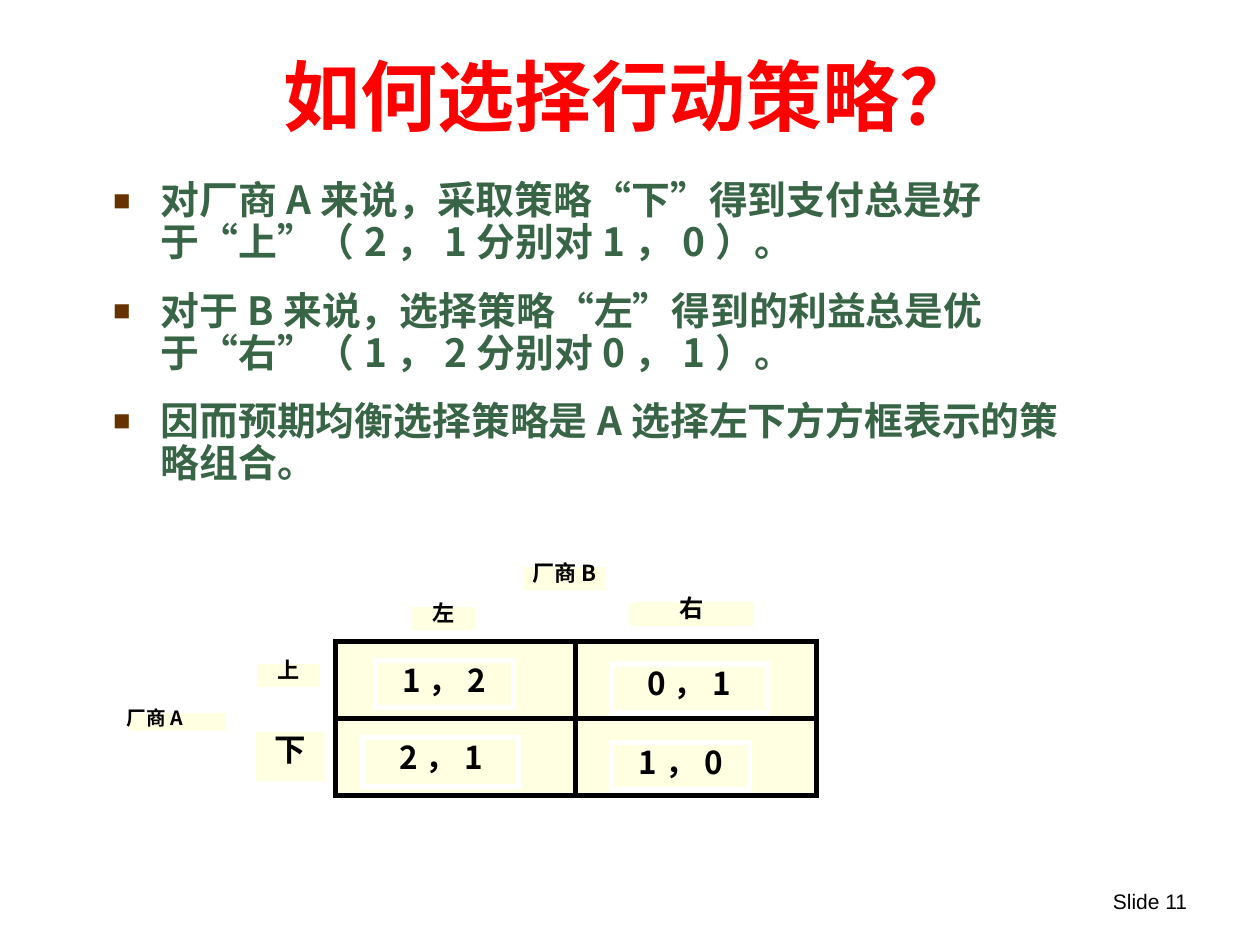
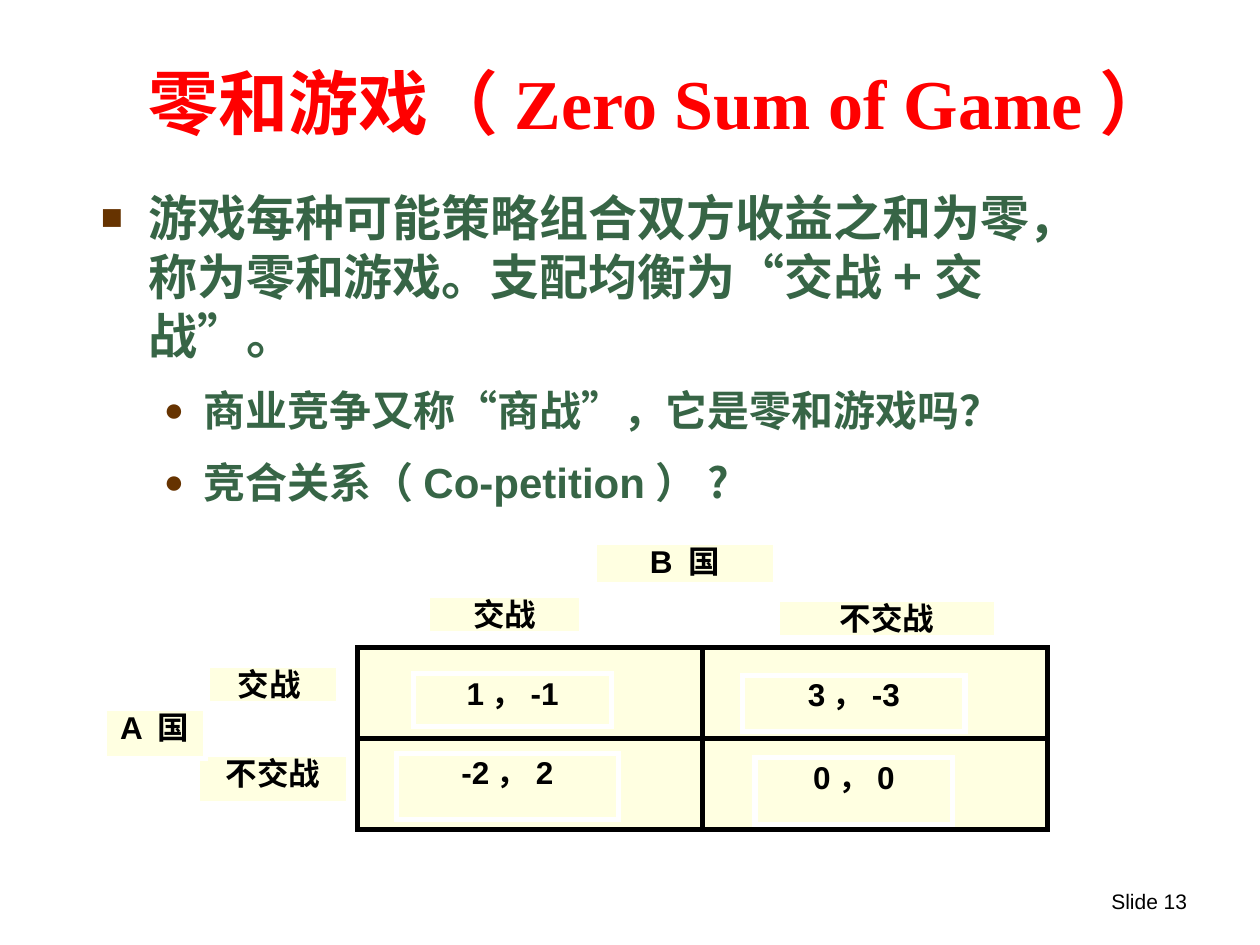
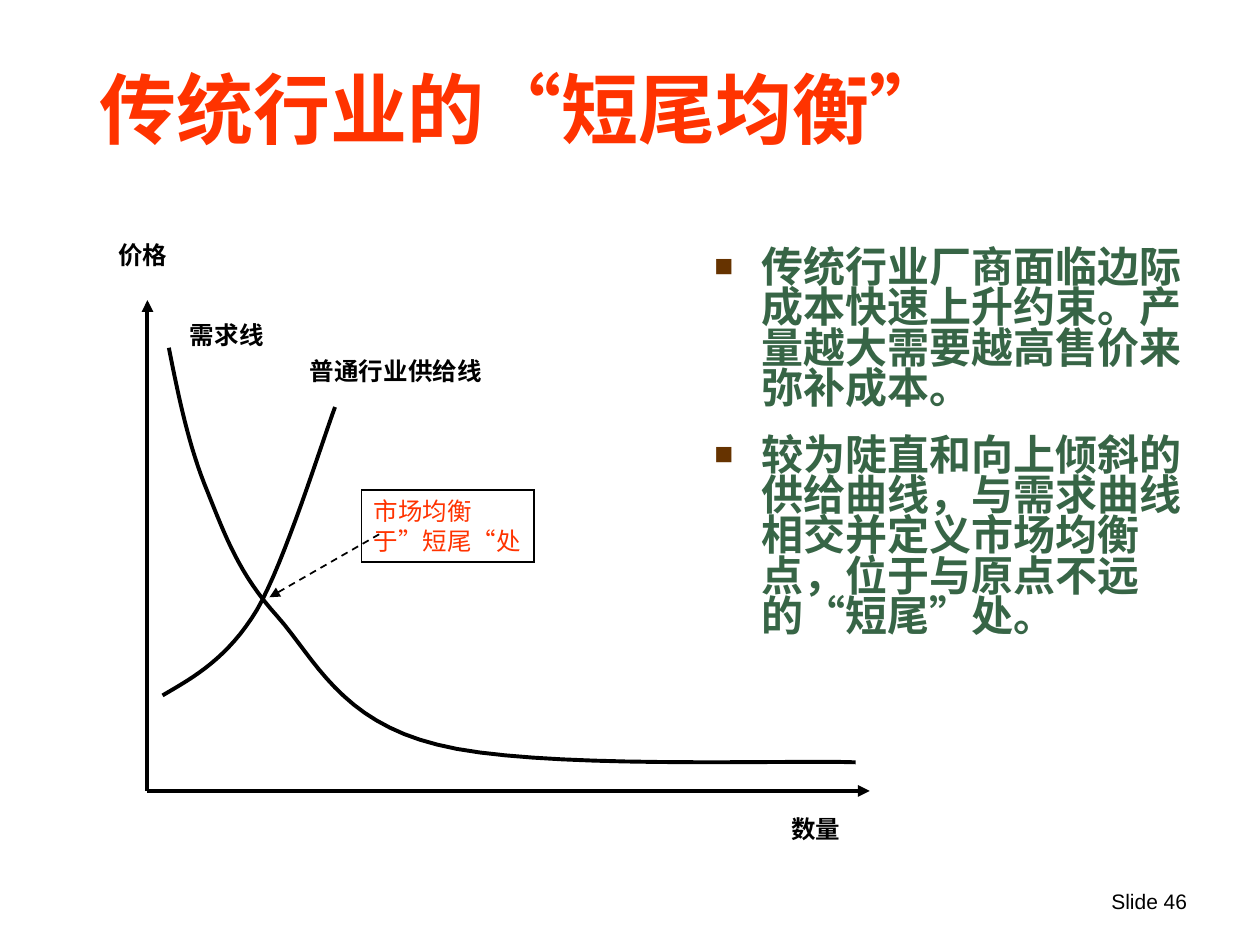
from itertools import pairwise

from lxml import etree
from pptx import Presentation
from pptx import util as u
from pptx.dml.color import RGBColor
from pptx.enum import dml, shapes, text
from pptx.oxml import ns

RED, ORANGE, GREEN, BROWN = "FF0000", "FF3300", "376546", "663300"
BLACK, WHITE, CREAM = "000000", "FFFFFF", "FFFFE1"
LATIN, CHINESE, SERIF = "Arial", "Noto Sans CJK SC", "Times New Roman"
ALIGN = text.PP_ALIGN
SQUARE = {"char": "■", "scale": 75, "left": 27, "hanging": 27}
DOT = {"char": "●", "scale": 80, "left": 58.5, "hanging": 22.5}


def color(value):
    return RGBColor.from_string(value)


def points(*lengths):
    return [u.Pt(length) for length in lengths]


def add_xml(parent, tag, **attributes):
    return etree.SubElement(parent, ns.qn(tag), attributes)


def write(paragraph, content, size=18, font=LATIN, accent=None, fill=BLACK,
          bold=True, align=None, spacing=None, before=None):
    paragraph.alignment = align
    paragraph.line_spacing = spacing
    if before is not None:
        paragraph.space_before = u.Pt(before)
    paragraph._p.get_or_add_pPr().set("hangingPunct", "0")
    for index, part in enumerate(content.split("|")):
        if not part:
            continue
        run = paragraph.add_run()
        run.text = part
        run.font.size = u.Pt(size)
        run.font.bold = bold
        run.font.color.rgb = color(fill)
        run.font.name = accent if index % 2 else font
        properties = run._r.get_or_add_rPr()
        properties.set("lang", "zh-CN")
        add_xml(properties, "a:ea", typeface=CHINESE)


def set_bullet(paragraph, char, scale, left, hanging):
    properties = paragraph._p.get_or_add_pPr()
    properties.set("marL", str(u.Pt(left)))
    properties.set("indent", str(-u.Pt(hanging)))
    add_xml(add_xml(properties, "a:buClr"), "a:srgbClr", val=BROWN)
    add_xml(properties, "a:buSzPct", val=str(scale * 1000))
    add_xml(properties, "a:buFont", typeface=LATIN)
    add_xml(properties, "a:buChar", char=char)


def place(shape, box):
    shape.left, shape.top, shape.width, shape.height = points(*box)


def add_title(slide, box, content, **style):
    title = slide.shapes.title
    place(title, box)
    frame = title.text_frame
    frame.auto_size = text.MSO_AUTO_SIZE.NONE
    frame.vertical_anchor = text.MSO_ANCHOR.BOTTOM
    write(frame.paragraphs[0], content, **style)


def add_body(slide, box, items, **style):
    body = slide.placeholders[1]
    place(body, box)
    frame = body.text_frame
    frame.auto_size = text.MSO_AUTO_SIZE.NONE
    for index, (level, content, changes) in enumerate(items):
        paragraph = frame.add_paragraph() if index else frame.paragraphs[0]
        paragraph.level = level
        write(paragraph, content, **{"fill": GREEN, **style, **changes})
        set_bullet(paragraph, **(DOT if level else SQUARE))


def add_footer(slide, number):
    footer = slide.shapes.add_textbox(*points(599, 504, 86.5, 36))
    footer.text_frame.word_wrap = True
    write(footer.text_frame.paragraphs[0], f"Slide {number}", size=12, bold=False,
          align=ALIGN.RIGHT)


def add_line(slide, start, end, width, arrow=False, dash=None):
    line = slide.shapes.add_connector(shapes.MSO_CONNECTOR.STRAIGHT, *points(*start, *end))
    line.line.color.rgb = color(BLACK)
    line.line.width = u.Pt(width)
    if dash:
        line.line.dash_style = dash
    if arrow:
        add_xml(line.line._get_or_add_ln(), "a:tailEnd", type="triangle")
    add_xml(line._element.spPr, "a:effectLst")
    return line


def add_rectangle(slide, box, fill, line, width):
    rectangle = slide.shapes.add_shape(shapes.MSO_SHAPE.RECTANGLE, *points(*box))
    rectangle.shadow.inherit = False
    if fill:
        rectangle.fill.solid()
        rectangle.fill.fore_color.rgb = color(fill)
    else:
        rectangle.fill.background()
    rectangle.line.color.rgb = color(line)
    rectangle.line.width = u.Pt(width)
    add_xml(rectangle.line._get_or_add_ln(), "a:miter", lim="800000")
    rectangle.text_frame.vertical_anchor = text.MSO_ANCHOR.TOP
    return rectangle


def add_payoff_matrix(slide, box, entries, **style):
    left, top, width, height = box
    middle_x, middle_y = left + width / 2, top + height / 2
    frame = add_rectangle(slide, box, CREAM, BLACK, 3)
    dividers = (
        ((left, middle_y), (left + width, middle_y), 1, 3),
        ((middle_x, top), (middle_x, top + height), 0, 2),
    )
    for start, end, first_side, last_side in dividers:
        divider = add_line(slide, start, end, 3)
        divider.begin_connect(frame, first_side)
        divider.end_connect(frame, last_side)
    for content, (x, y, entry_width, entry_height), changes in entries:
        entry = add_rectangle(slide, (left + x, top + y, entry_width, entry_height),
                              CREAM, WHITE, 3)
        inner = entry.text_frame
        inner.margin_left = inner.margin_right = inner.margin_top = inner.margin_bottom = 0
        write(inner.paragraphs[0], content, **{"align": ALIGN.CENTER, **style, **changes})


def bezier_points(controls, steps=16):
    result = [controls[0]]
    for first in range(0, len(controls) - 1, 3):
        p0, p1, p2, p3 = controls[first:first + 4]
        for step in range(1, steps + 1):
            t = step / steps
            s = 1 - t
            result.append(tuple(
                s ** 3 * a + 3 * s * s * t * b + 3 * s * t * t * c + t ** 3 * d
                for a, b, c, d in zip(p0, p1, p2, p3)))
    return result


def add_curve(slide, controls):
    start, *rest = [points(*point) for point in bezier_points(controls)]
    builder = slide.shapes.build_freeform(*start)
    builder.add_line_segments(rest, close=False)
    curve = builder.convert_to_shape()
    curve.shadow.inherit = False
    curve.fill.background()
    curve.line.color.rgb = color(BLACK)
    curve.line.width = u.Pt(2.25)


def fit_lines(shape, lines, **style):
    frame = shape.text_frame
    frame.word_wrap = False
    frame.auto_size = text.MSO_AUTO_SIZE.SHAPE_TO_FIT_TEXT
    for index, content in enumerate(lines):
        paragraph = frame.add_paragraph() if index else frame.paragraphs[0]
        write(paragraph, content, size=14, align=ALIGN.LEFT, **style)


def add_supply_demand_diagram(slide, left, top):
    def at(x, y):
        return left + x, top + y

    corners = [at(437, 322), at(24.25, 322), at(24.25, 41.5)]
    for (first, second), outward in zip(pairwise(corners), (False, True)):
        start, end = (first, second) if outward else (second, first)
        add_line(slide, start, end, 2.25, arrow=True)

    demand = [(36.5, 68.7), (42.2, 97.5), (48, 125.6), (58.8, 151.5), (68.9, 176.7),
              (76.8, 198.3), (98.4, 222.1), (120, 246.6), (134.4, 281.8), (189.8, 295.5),
              (244.6, 309.9), (389.3, 304.2), (428.9, 305.6)]
    supply = [(32.9, 267.4), (51.6, 256.6), (70.3, 245.8), (86.9, 218.5),
              (102.7, 191.1), (124.3, 122), (131.5, 102.6)]
    for controls in (demand, supply):
        add_curve(slide, [at(*point) for point in controls])

    labels = (("价格", 0.5, 3.5), ("数量", 385, 331.5),
              ("需求线", 41.5, 49.5), ("普通行业供给线", 110, 70))
    for content, x, y in labels:
        label = slide.shapes.add_textbox(*points(*at(x, y), 14 * len(content) + 16, 24.5))
        fit_lines(label, [content])

    callout = add_rectangle(slide, (*at(146.5, 150), 98.5, 41), None, BLACK, 1)
    fit_lines(callout, ["市场均衡", "于”短尾“处"], fill=ORANGE, bold=False)
    add_line(slide, at(156.7, 175.3), at(94, 211.3), 1, arrow=True,
             dash=dml.MSO_LINE.DASH)


def new_slide(presentation, number):
    slide = presentation.slides.add_slide(presentation.slide_layouts[1])
    add_footer(slide, number)
    return slide


def build_strategy_slide(presentation):
    slide = new_slide(presentation, 11)
    add_title(slide, (54, 24, 612, 60), "如何选择行动策略？", size=44, fill=RED,
              align=ALIGN.CENTER)
    add_body(slide, (57.5, 100, 571, 205), [
        (0, "对厂商A来说，采取策略|“|下|”|得到支付总是好于|“|上|”|（2，1分别对1，0）。", {}),
        (0, "对于B来说，选择策略|“|左|”|得到的利益总是优于|“|右|”|（1，2分别对0，1）。", {}),
        (0, "因而预期均衡选择策略是A选择左下方方框表示的策略组合。", {}),
    ], size=22.2, font=CHINESE, accent=SERIF, spacing=0.9, before=15)
    small = {"size": 12.6, "spacing": 0.8}
    add_payoff_matrix(slide, (191.5, 366.5, 275, 88), [
        ("1，2", (23, 11, 79, 27), {}),
        ("0，1", (158, 13, 89, 28), {}),
        ("2，1", (16, 55, 89, 28), {}),
        ("1，0", (158, 58, 79, 27), {}),
        ("左", (42, -21, 40, 16), small),
        ("右", (167, -24, 74, 17), {"size": 13.9, "spacing": 0.8}),
        ("上", (-46, 11.5, 39, 16), small),
        ("下", (-47, 50.5, 43, 31), {}),
        ("厂商B", (106, -44, 50, 16), small),
        ("厂商A", (-119, 39.5, 58, 13),
         {"size": 11.2, "spacing": 0.8, "align": ALIGN.JUSTIFY}),
    ], font=CHINESE)


def build_zero_sum_slide(presentation):
    slide = new_slide(presentation, 13)
    add_title(slide, (54, 27.5, 645, 58), "零和游戏|（Zero Sum of Game）", size=40,
              accent=SERIF, fill=RED, align=ALIGN.CENTER)
    sub = {"size": 24, "before": 12}
    add_body(slide, (50.5, 103.5, 597.5, 199.5), [
        (0, "游戏每种可能策略组合双方收益之和为零，称为零和游戏。支配均衡为|“|交战+交战|”|。", {}),
        (1, "商业竞争又称|“|商战|”|，它是零和游戏吗？", sub),
        (1, "竞合关系（|Co-petition|）?", sub),
    ], size=28, font=CHINESE, accent=LATIN, spacing=1.0, before=17.5)
    add_payoff_matrix(slide, (204.5, 370, 394, 104), [
        ("1，-1", (32, 15, 113, 30), {}),
        ("3，-3", (220, 16, 127, 32), {}),
        ("-2，2", (22, 60.5, 127, 38), {}),
        ("0，0", (227, 63, 113, 38), {}),
        ("交战", (40, -30, 88, 22), {}),
        ("不交战", (240, -27.5, 125, 22), {}),
        ("交战 ", (-86, 10, 75, 22), {}),
        ("不交战", (-92, 61, 87, 28), {}),
        ("B 国", (135, -60, 104, 24), {}),
        ("A 国", (-145, 34.5, 58, 29), {}),
    ])


def build_short_tail_slide(presentation):
    slide = new_slide(presentation, 46)
    add_title(slide, (49.5, 15, 624, 76.5), "传统行业的“短尾均衡”", size=44, fill=ORANGE,
              align=ALIGN.LEFT)
    add_body(slide, (401, 139.5, 296.5, 235.5), [
        (0, "传统行业厂商面临边际成本快速上升约束。产量越大需要越高售价来弥补成本。", {}),
        (0, "较为陡直和向上倾斜的供给曲线，与需求曲线相交并定义市场均衡点，位于与原点不远的“短尾”处。", {}),
    ], size=24, spacing=0.8, before=15)
    add_supply_demand_diagram(slide, 60, 130)


def main():
    presentation = Presentation()
    presentation.slide_width, presentation.slide_height = points(720, 540)
    build_strategy_slide(presentation)
    build_zero_sum_slide(presentation)
    build_short_tail_slide(presentation)
    presentation.save("out.pptx")


if __name__ == "__main__":
    main()
